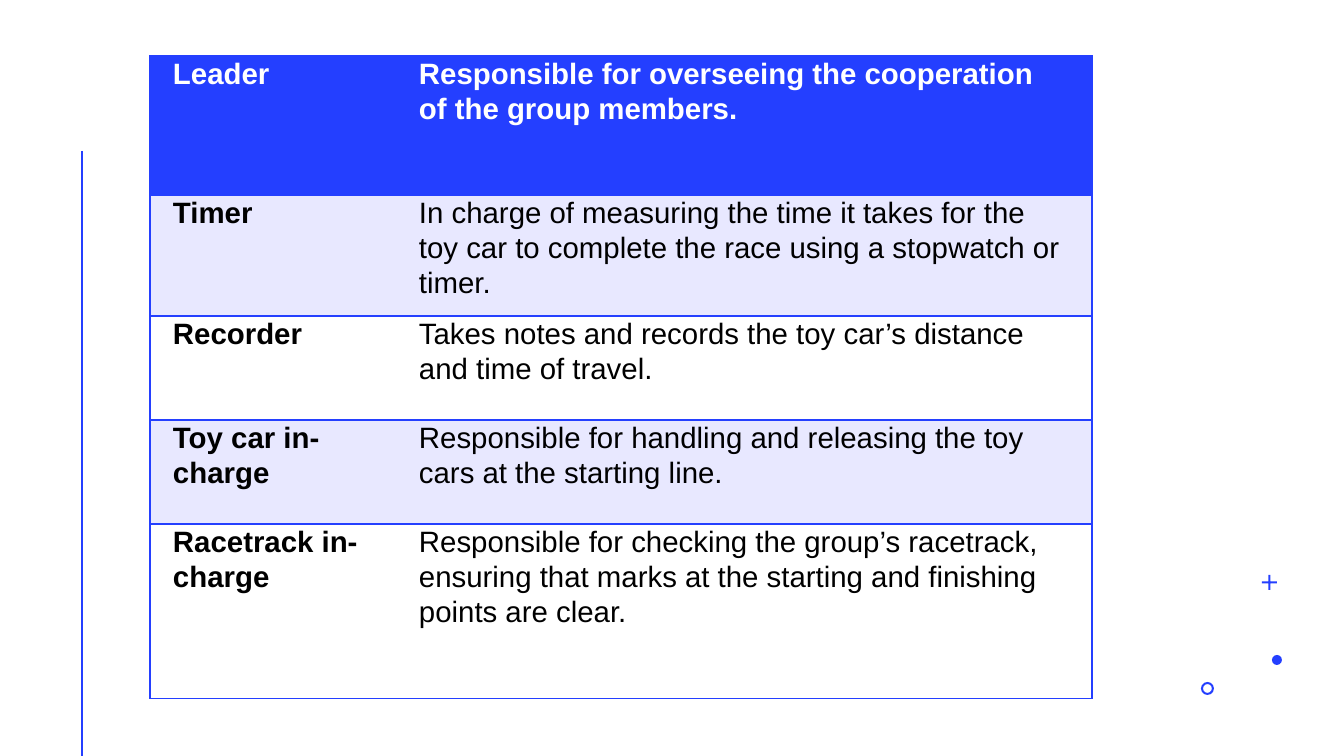
"""Build the slide that lists the group roles for the toy car race."""
from typing import NamedTuple

from lxml.etree import SubElement
from pptx import Presentation
from pptx.dml.color import RGBColor
from pptx.enum.shapes import MSO_CONNECTOR as Connector, MSO_SHAPE as Shape
from pptx.oxml.ns import qn
from pptx.util import Emu, Pt

EMU_PER_PX = 914400 / 100.8
BLUE, LILAC, WHITE, BLACK = "243FFF", "E8E8FF", "FFFFFF", "000000"
COLUMN_WIDTHS = (246, 696)
CELL_INSET = 23


class Role(NamedTuple):
    name: str
    duty: str
    height: int
    fill: str


class Mark(NamedTuple):
    shape: Shape
    left: int
    top: int
    size: int
    adjustment: float | None = None


ROLES = (
    Role("Leader", "Responsible for overseeing the cooperation of the group members.", 139, BLUE),
    Role("Timer", "In charge of measuring the time it takes for the toy car to complete "
         "the race using a stopwatch or timer.", 121, LILAC),
    Role("Recorder", "Takes notes and records the toy car’s distance and time of travel.", 104, WHITE),
    Role("Toy car in-charge", "Responsible for handling and releasing the toy cars at the "
         "starting line.", 104, LILAC),
    Role("Racetrack in-charge", "Responsible for checking the group’s racetrack, ensuring that "
         "marks at the starting and finishing points are clear.", 175, WHITE),
)
MARKS = (
    Mark(Shape.CROSS, 1262, 575, 15, 0.43),
    Mark(Shape.DONUT, 1201, 682, 13, 0.16),
    Mark(Shape.OVAL, 1272, 655, 10),
)


def px(length: int) -> Emu:
    return Emu(round(length * EMU_PER_PX))


def color(value: str) -> RGBColor:
    return RGBColor.from_string(value)


def write(cell, text: str, *, size: int = 21, ink: str = BLACK, bold: bool = False) -> None:
    para = cell.text_frame.paragraphs[0]
    para.line_spacing = 1.07
    para.space_after = Pt(8)
    span = para.add_run()
    span.text = text
    span.font.name = "Arial"
    span.font.size = Pt(size)
    span.font.bold = bold
    span.font.color.rgb = color(ink)


def add_borders(cell, hidden_side: str) -> None:
    properties = cell._tc.get_or_add_tcPr()
    for side in ("lnL", "lnR", "lnT", "lnB"):
        line = SubElement(properties, qn(f"a:{side}"), w=str(Pt(1)))
        if side == hidden_side:
            SubElement(line, qn("a:noFill"))
        else:
            SubElement(SubElement(line, qn("a:solidFill")), qn("a:srgbClr"), val=BLUE)


def add_role_table(page, left: int, top: int) -> None:
    width, height = sum(COLUMN_WIDTHS), sum(role.height for role in ROLES)
    table = page.shapes.add_table(len(ROLES), len(COLUMN_WIDTHS), px(left), px(top),
                                  px(width), px(height)).table
    table.first_row = table.horz_banding = False
    for column, column_width in zip(table.columns, COLUMN_WIDTHS):
        column.width = px(column_width)
    for index, role in enumerate(ROLES):
        table.rows[index].height = px(role.height)
        is_header = role.fill == BLUE
        for column, text in enumerate((role.name, role.duty)):
            cell = table.cell(index, column)
            cell.margin_left = cell.margin_right = px(CELL_INSET)
            cell.margin_top = cell.margin_bottom = 0
            add_borders(cell, "lnL" if column else "lnR")
            cell.fill.solid()
            cell.fill.fore_color.rgb = color(role.fill)
            write(cell, text, ink=WHITE if is_header else BLACK, bold=is_header or column == 0)


def add_side_line(page, left: int, top: int, bottom: int) -> None:
    line = page.shapes.add_connector(Connector.STRAIGHT, px(left), px(top), px(left), px(bottom))
    line.line.color.rgb = color(BLUE)
    line.line.width = Pt(2)
    SubElement(line._element.spPr, qn("a:effectLst"))


def add_mark(page, mark: Mark) -> None:
    shape = page.shapes.add_shape(mark.shape, px(mark.left), px(mark.top),
                                  px(mark.size), px(mark.size))
    if mark.adjustment is not None:
        shape.adjustments[0] = mark.adjustment
    shape.shadow.inherit = False
    shape.fill.solid()
    shape.fill.fore_color.rgb = color(BLUE)
    shape.line.fill.background()


def main() -> None:
    deck = Presentation()
    deck.slide_width, deck.slide_height = px(1344), px(756)
    page = deck.slides.add_slide(deck.slide_layouts[6])
    add_side_line(page, 82, 151, 756)
    for mark in MARKS:
        add_mark(page, mark)
    add_role_table(page, 150, 56)
    deck.save("out.pptx")


if __name__ == "__main__":
    main()
